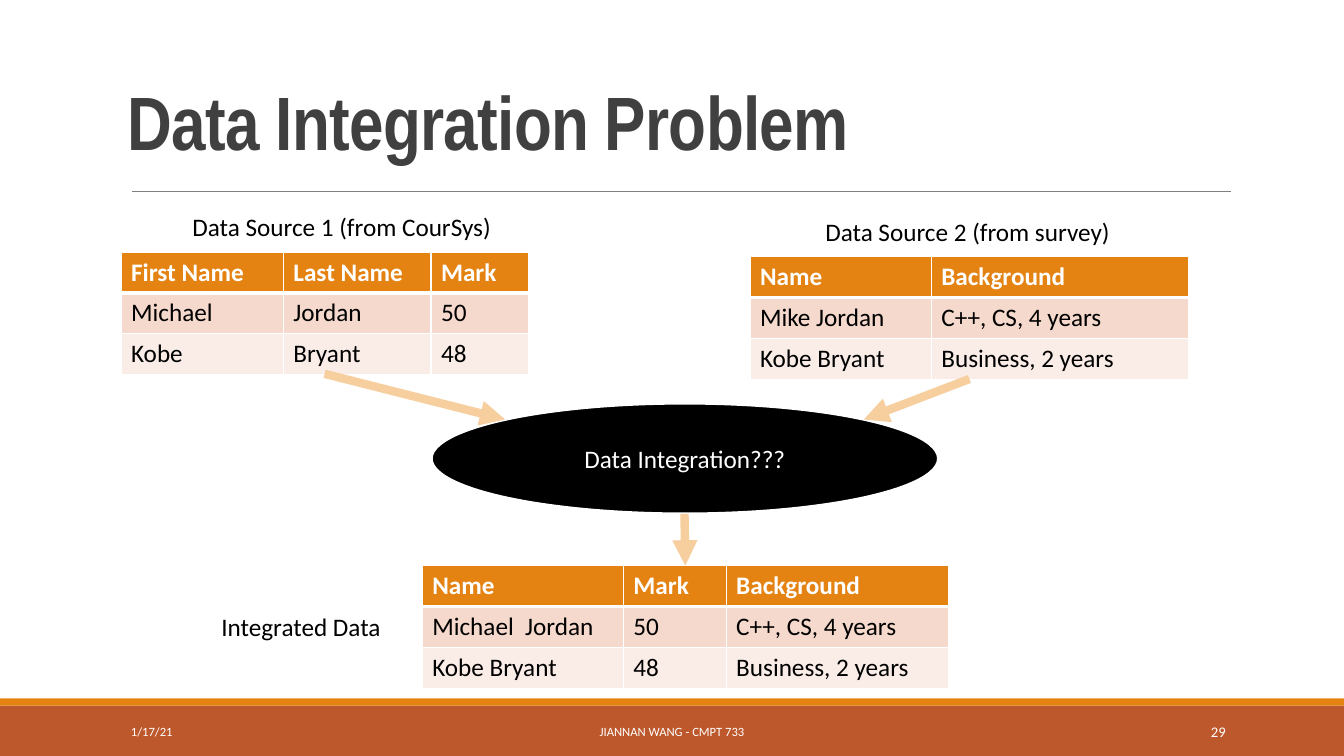
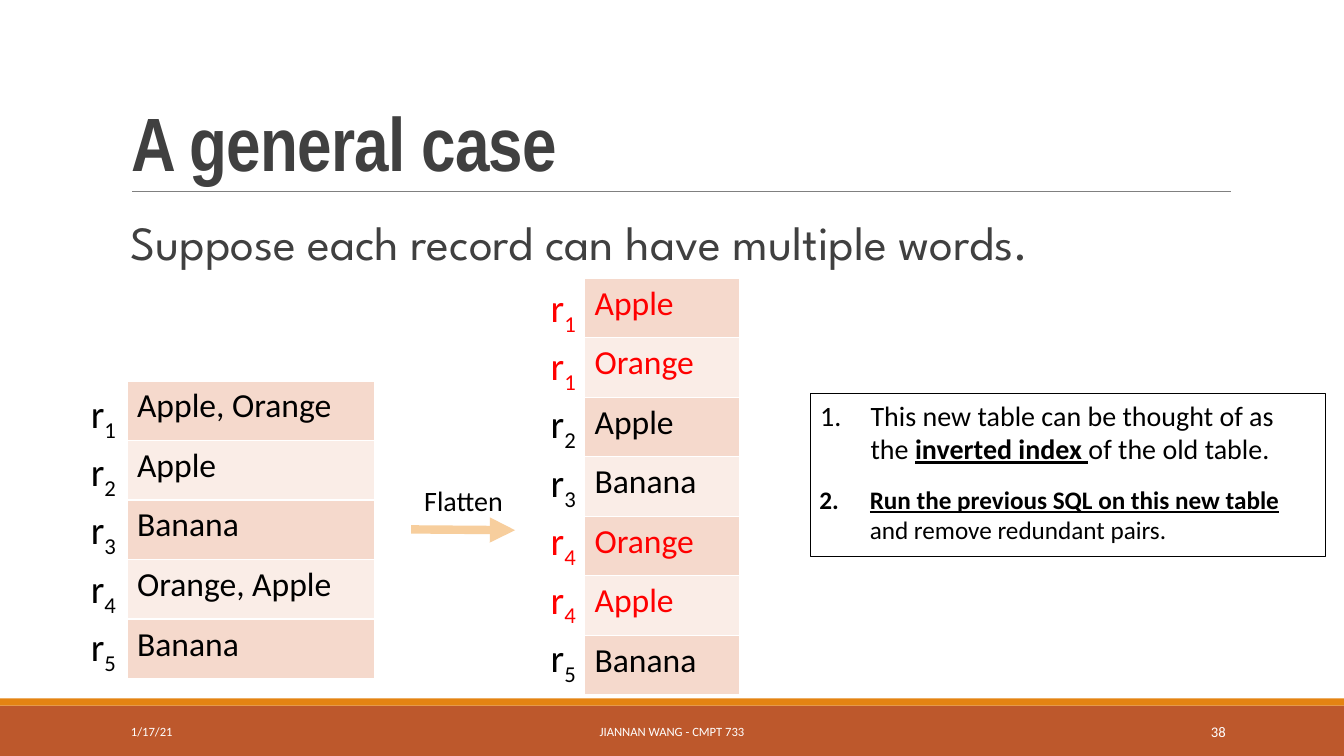
from collections import Counter

from lxml.etree import SubElement
from pptx import Presentation
from pptx.dml.color import RGBColor
from pptx.enum.shapes import MSO_CONNECTOR, MSO_SHAPE
from pptx.enum.text import MSO_ANCHOR as Anchor, MSO_AUTO_SIZE as AutoSize, PP_ALIGN as Align
from pptx.oxml.ns import qn
from pptx.util import Cm, Pt

WIDTH, HEIGHT = 33.87, 19.05
TITLE_ONLY = 5
BODY_FONT, TITLE_FONT, LEAD_FONT = "Calibri", "Arial Narrow", "League Spartan"
BLACK, WHITE, RED = "000000", "FFFFFF", "FF0000"
DARK_GREY, RULE_GREY = "404040", "808080"
RUST, ORANGE, PALE_ORANGE = "BD582C", "E48312", "F7CE9D"
BANDS = "F5D9CC", "FAEDE7"


def color(hex_string):
    return RGBColor.from_string(hex_string)


def box(*lengths):
    return [Cm(length) for length in lengths]


def style_font(font, size, ink=BLACK, bold=False, name=BODY_FONT):
    font.name, font.size, font.bold = name, Pt(size), bold
    font.color.rgb = color(ink)


def set_borders(cell, bottom_width):
    """Draw white cell borders, 1 pt except at the bottom; call before filling."""
    properties = cell._tc.get_or_add_tcPr()
    for side, width in (("L", 1), ("R", 1), ("T", 1), ("B", bottom_width)):
        border = SubElement(properties, qn("a:ln" + side), w=str(Pt(width)))
        fill = SubElement(border, qn("a:solidFill"))
        SubElement(fill, qn("a:srgbClr"), val=WHITE)


class Deck:
    """The lecture style and the slide being built; lengths are in centimetres."""

    def __init__(self):
        self.presentation = Presentation()
        self.presentation.slide_width = Cm(WIDTH)
        self.presentation.slide_height = Cm(HEIGHT)
        self.slide = None

    def add_slide(self, title, title_box, number):
        layout = self.presentation.slide_layouts[TITLE_ONLY]
        self.slide = self.presentation.slides.add_slide(layout)
        self.shape(MSO_SHAPE.RECTANGLE, (0, 17.78, WIDTH, 1.27), RUST)
        self.shape(MSO_SHAPE.RECTANGLE, (0, 17.6, WIDTH, 0.18), ORANGE)
        self.line((3.33, 4.83), (31.01, 4.83), RULE_GREY, 0.5)
        self.title(title, title_box)
        self.footer("1/17/21", 3.05, 6.86, 9, Align.LEFT)
        self.footer("JIANNAN WANG - CMPT 733", 10.24, 13.39, 9, Align.CENTER)
        self.footer(str(number), 27.51, 3.63, 10.5, Align.RIGHT)

    def title(self, text, title_box):
        shape = self.slide.shapes.title
        shape.left, shape.top, shape.width, shape.height = box(*title_box)
        frame = shape.text_frame
        frame.text = text
        frame.auto_size = AutoSize.NONE
        frame.vertical_anchor = Anchor.BOTTOM
        paragraph = frame.paragraphs[0]
        paragraph.alignment = Align.LEFT
        paragraph.line_spacing = 0.85
        style_font(paragraph.font, 54, DARK_GREY, True, TITLE_FONT)
        paragraph.runs[0]._r.get_or_add_rPr().set("spc", "-50")

    def shape(self, kind, bounds, fill=None, outline=None, outline_width=1):
        shape = self.slide.shapes.add_shape(kind, *box(*bounds))
        shape.shadow.inherit = False
        if fill:
            shape.fill.solid()
            shape.fill.fore_color.rgb = color(fill)
        else:
            shape.fill.background()
        if outline:
            shape.line.color.rgb = color(outline)
            shape.line.width = Pt(outline_width)
        else:
            shape.line.fill.background()
        return shape

    def line(self, start, end, ink, width):
        line = self.slide.shapes.add_connector(MSO_CONNECTOR.STRAIGHT, *box(*start, *end))
        line.line.color.rgb = color(ink)
        line.line.width = Pt(width)
        SubElement(line._element.spPr, qn("a:effectLst"))
        return line

    def arrow(self, start, end):
        arrow = self.line(start, end, PALE_ORANGE, 6)
        SubElement(arrow.line._get_or_add_ln(), qn("a:tailEnd"), type="triangle")

    def text_box(self, bounds, wrap=True):
        frame = self.slide.shapes.add_textbox(*box(*bounds)).text_frame
        frame.word_wrap = wrap
        frame.auto_size = AutoSize.NONE if wrap else AutoSize.SHAPE_TO_FIT_TEXT
        return frame

    def footer(self, text, left, width, size, alignment):
        frame = self.text_box((left, 17.93, width, 1.02))
        frame.text = text
        frame.vertical_anchor = Anchor.MIDDLE
        paragraph = frame.paragraphs[0]
        paragraph.alignment = alignment
        style_font(paragraph.font, size, WHITE)

    def label(self, text, bounds, size=18, ink=BLACK, subscript=""):
        paragraph = self.text_box(bounds, wrap=False).paragraphs[0]
        paragraph.add_run().text = text
        style_font(paragraph.font, size, ink)
        if subscript:
            run = paragraph.add_run()
            run.text = subscript
            run.font._element.set("baseline", "-25000")

    def lead(self, text, bounds):
        frame = self.text_box(bounds)
        frame.margin_left = frame.margin_right = 0
        frame.text = text
        paragraph = frame.paragraphs[0]
        paragraph._p.get_or_add_pPr().set("marL", str(Cm(0.25)))
        paragraph.line_spacing = 0.9
        style_font(paragraph.font, 34, DARK_GREY, name=LEAD_FONT)

    def ellipse(self, text, bounds):
        frame = self.shape(MSO_SHAPE.OVAL, bounds, BLACK, WHITE, 2).text_frame
        frame.text = text
        frame.vertical_anchor = Anchor.MIDDLE
        paragraph = frame.paragraphs[0]
        paragraph.alignment = Align.CENTER
        style_font(paragraph.font, 18, WHITE)

    def numbered_item(self, frame, number, parts, size):
        """Write (text, emphasized) parts as one item of a numbered list."""
        frame.word_wrap = True
        frame.vertical_anchor = Anchor.TOP
        paragraph = frame.paragraphs[0]
        paragraph.alignment = Align.LEFT
        properties = paragraph._p.get_or_add_pPr()
        properties.set("marL", str(Cm(1.27)))
        properties.set("indent", str(Cm(-1.27)))
        SubElement(properties, qn("a:buFont"), typeface="+mj-lt")
        SubElement(properties, qn("a:buAutoNum"), type="arabicPeriod", startAt=str(number))
        for text, emphasized in parts:
            run = paragraph.add_run()
            run.text = text
            style_font(run.font, size, bold=emphasized)
            run.font.underline = emphasized

    def table(self, left, top, widths, row_height, rows, size, header=True, inks=None):
        """Add a banded table; inks gives one text colour for each row."""
        bounds = box(left, top, sum(widths), row_height * len(rows))
        frame = self.slide.shapes.add_table(len(rows), len(widths), *bounds)
        table = frame.table
        table.first_row = header
        for column, width in zip(table.columns, widths):
            column.width = Cm(width)
        for index, (row, texts) in enumerate(zip(table.rows, rows)):
            row.height = Cm(row_height)
            heading = header and index == 0
            fill = ORANGE if heading else BANDS[(index - header) % 2]
            ink = WHITE if heading else inks[index] if inks else BLACK
            for cell, text in zip(row.cells, texts):
                set_borders(cell, 3 if heading else 1)
                cell.fill.solid()
                cell.fill.fore_color.rgb = color(fill)
                cell.text = text
                style_font(cell.text_frame.paragraphs[0].font, size, ink, heading)


def add_integration_slide(deck):
    deck.add_slide("Data Integration Problem", (2.97, 0.28, 27.94, 4.04), 29)
    tables = [
        (3.05, 6.35, (4.09, 3.72, 2.46),
         [("First Name", "Last Name", "Mark"), ("Michael", "Jordan", "50"),
          ("Kobe", "Bryant", "48")]),
        (18.9, 6.47, (4.57, 6.48),
         [("Name", "Background"), ("Mike Jordan", "C++, CS, 4 years"),
          ("Kobe Bryant", "Business, 2 years")]),
        (10.64, 14.25, (5.07, 2.59, 5.6),
         [("Name", "Mark", "Background"), ("Michael  Jordan", "50", "C++, CS, 4 years"),
          ("Kobe Bryant", "48", "Business, 2 years")]),
    ]
    for left, top, widths, rows in tables:
        deck.table(left, top, widths, 1.03, rows, 18)
    deck.label("Data Source 1 (from CourSys)", (4.6, 5.21, 8.13, 1.02))
    deck.label("Data Source 2 (from survey)", (20.55, 5.33, 7.77, 1.02))
    deck.label("Integrated Data", (5.33, 15.27, 4.57, 1.02))
    deck.ellipse("Data Integration???", (10.87, 10.16, 12.78, 2.79))
    deck.arrow((8.18, 9.42), (12.73, 10.57))
    deck.arrow((24.43, 9.55), (21.77, 10.57))
    deck.arrow((17.25, 12.95), (17.27, 14.25))


def add_general_case_slide(deck):
    deck.add_slide("A general case", (3.05, 0.79, 30.38, 4.04), 38)
    deck.lead("Suppose each record can have multiple words.", (3.05, 5.41, 27.94, 2.5))

    records = [("1", "Apple, Orange"), ("2", "Apple"), ("3", "Banana"),
               ("4", "Orange, Apple"), ("5", "Banana")]
    flattened = [(record, word) for record, words in records for word in words.split(", ")]
    word_counts = Counter(record for record, word in flattened)
    split_inks = [RED if word_counts[record] > 1 else BLACK for record, word in flattened]
    listings = [
        (records, [BLACK] * len(records), 3.2, 9.6, 6.25, 2.04, 9.68),
        (flattened, split_inks, 14.73, 7.01, 3.91, 13.63, 7.01),
    ]
    for rows, inks, left, top, width, label_left, label_top in listings:
        deck.table(left, top, (width,), 1.5, [(text,) for record, text in rows], 24,
                   header=False, inks=inks)
        for index, ((record, text), ink) in enumerate(zip(rows, inks)):
            deck.label("r", (label_left, label_top + 1.47 * index, 1.19, 1.45), 28, ink,
                       subscript=record)

    deck.arrow((10.36, 13.34), (12.98, 13.36))
    deck.label("Flatten", (10.44, 12.07, 2.54, 1.12), 20)

    note = deck.shape(MSO_SHAPE.RECTANGLE, (20.42, 9.91, 12.98, 4.11), None, BLACK, 0.75)
    deck.numbered_item(note.text_frame, 1, [
        ("This new table can be thought of as the ", False),
        ("inverted index ", True),
        ("of the old table.", False)], 20)
    deck.numbered_item(deck.text_box((20.4, 12.07, 13.03, 1.8)), 2, [
        ("Run the previous SQL on this new table ", True),
        ("and remove redundant pairs.", False)], 18)


def main():
    deck = Deck()
    add_integration_slide(deck)
    add_general_case_slide(deck)
    deck.presentation.save("out.pptx")


if __name__ == "__main__":
    main()
